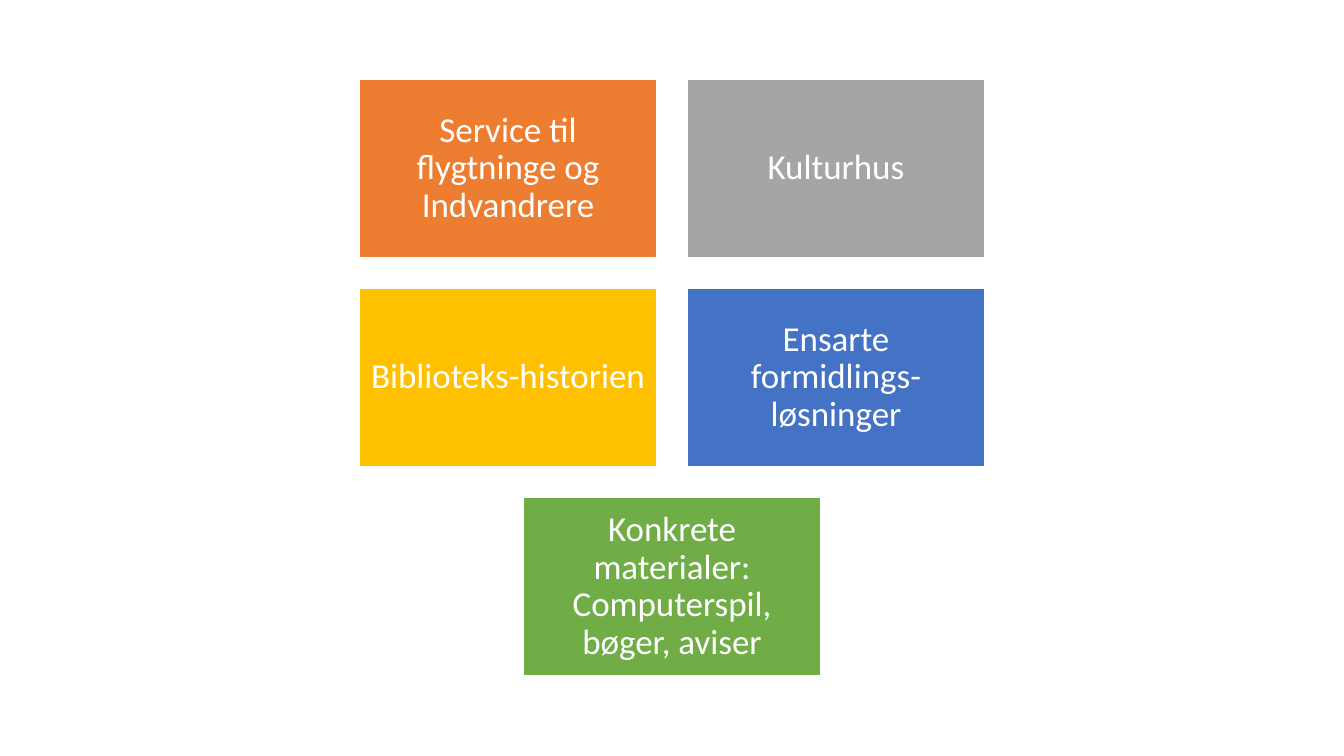
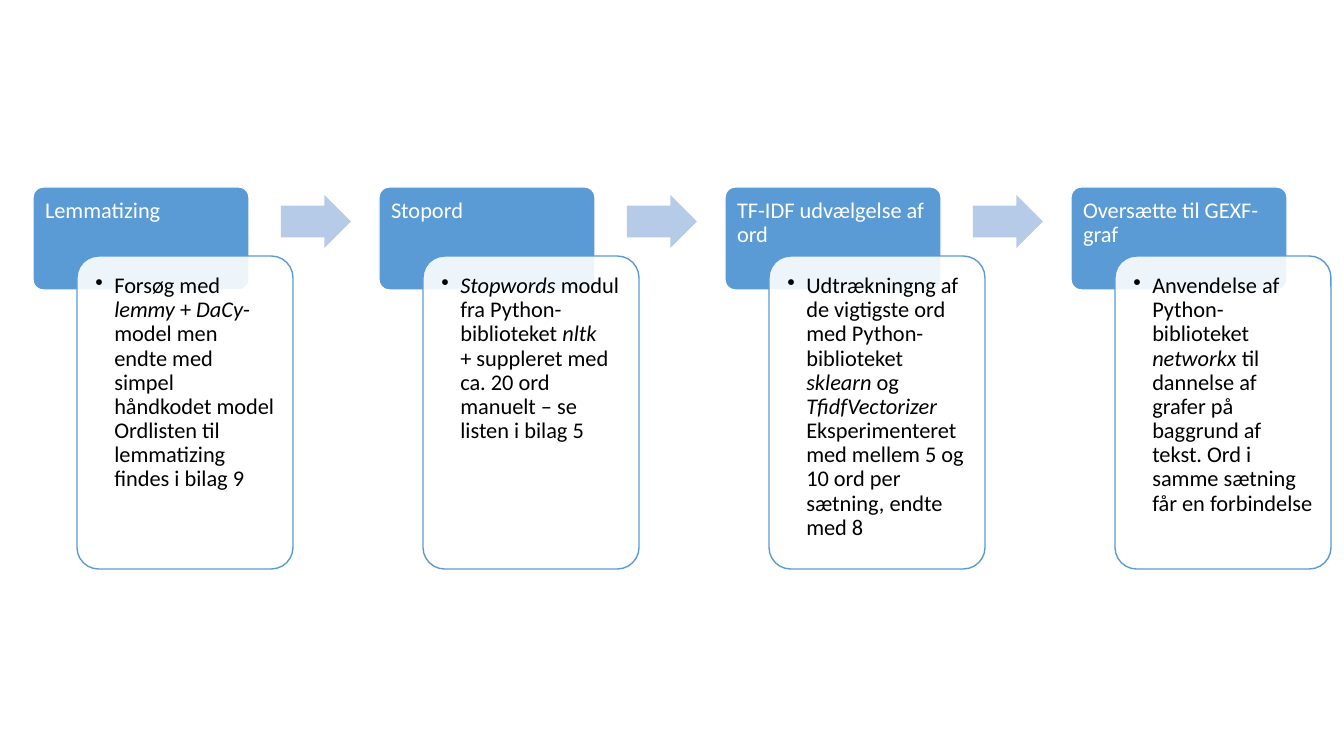
"""Build a tile overview and a four-step text processing flow."""
from lxml.etree import SubElement
from pptx import Presentation
from pptx.dml.color import RGBColor
from pptx.enum.shapes import MSO_SHAPE as Shape
from pptx.enum.text import MSO_ANCHOR as Anchor, PP_ALIGN as Align
from pptx.oxml.ns import qn
from pptx.util import Pt

EMU_PER_PX = 914400 / 100.8
FONT = "Calibri"
WHITE = RGBColor(0xFF, 0xFF, 0xFF)
BLACK = RGBColor(0x00, 0x00, 0x00)
ORANGE = RGBColor(0xED, 0x7D, 0x31)
GRAY = RGBColor(0xA5, 0xA5, 0xA5)
GOLD = RGBColor(0xFF, 0xC0, 0x00)
BLUE = RGBColor(0x44, 0x72, 0xC4)
GREEN = RGBColor(0x70, 0xAD, 0x47)
STEP_BLUE = RGBColor(0x5B, 0x9B, 0xD5)
ARROW_BLUE = RGBColor(0xB5, 0xCB, 0xE7)

TILE_WIDTH, TILE_HEIGHT = 298, 179
TILE_LEFT, TILE_TOP = 359, 79
TILE_STEP_X, TILE_STEP_Y = 328, 209
TILES = [
    ("Service til flygtninge og Indvandrere", ORANGE, 0, 0),
    ("Kulturhus", GRAY, 1, 0),
    ("Biblioteks-historien", GOLD, 0, 1),
    ("Ensarte formidlings-løsninger", BLUE, 1, 1),
    ("Konkrete materialer: Computerspil, bøger, aviser", GREEN, 0.5, 2),
]

STEP_LEFT, STEP_PITCH = 33, 346
STEPS = [
    ("Lemmatizing", [
        ("Forsøg med ", False), ("lemmy", True), (" + ", False), ("DaCy", True),
        ("-model men endte med simpel håndkodet model\n"
         "Ordlisten til lemmatizing findes i bilag 9", False)]),
    ("Stopord", [
        ("Stopwords", True), (" modul fra Python-biblioteket ", False), ("nltk\n", True),
        ("+ suppleret med ca. 20 ord manuelt – se listen i bilag 5", False)]),
    ("TF-IDF udvælgelse af ord", [
        ("Udtrækningng af de vigtigste ord med Python-biblioteket ", False),
        ("sklearn", True), (" og ", False), ("TfidfVectorizer \n", True),
        ("Eksperimenteret med mellem 5 og 10 ord per sætning, endte med 8", False)]),
    ("Oversætte til GEXF-graf", [
        ("Anvendelse af Python-biblioteket ", False), ("networkx", True),
        (" til dannelse af grafer på baggrund af tekst. "
         "Ord i samme sætning får en forbindelse", False)]),
]


def px(length):
    return round(length * EMU_PER_PX)


def add_box(slide, kind, bounds, fill, line=None, adjustments=()):
    shape = slide.shapes.add_shape(kind, *map(px, bounds))
    shape.shadow.inherit = False
    shape.fill.solid()
    shape.fill.fore_color.rgb = fill
    if line is None:
        shape.line.fill.background()
    else:
        shape.line.color.rgb = line
        shape.line.width = Pt(1)
    for index, value in enumerate(adjustments):
        shape.adjustments[index] = value
    return shape


def write_text(shape, segments, size, color, margin, anchor=Anchor.TOP, align=Align.LEFT):
    frame = shape.text_frame
    frame.word_wrap = True
    frame.vertical_anchor = anchor
    frame.margin_left = frame.margin_right = px(margin)
    frame.margin_top = frame.margin_bottom = px(margin)
    paragraph = frame.paragraphs[0]
    paragraph.alignment = align
    paragraph.line_spacing = 0.9
    paragraph.font.name = FONT
    paragraph.font.size = Pt(size)
    paragraph.font.color.rgb = color
    for text, italic in segments:
        for index, part in enumerate(text.split("\n")):
            if index:
                paragraph.add_line_break()
            if part:
                run = paragraph.add_run()
                run.text = part
                if italic:
                    run.font.italic = True
    return paragraph


def add_bullet(paragraph, indent):
    properties = paragraph._p.get_or_add_pPr()
    properties.set("marL", str(px(indent)))
    properties.set("indent", str(-px(indent)))
    bullet = properties.makeelement(qn("a:buChar"), {"char": "•"})
    properties.find(qn("a:defRPr")).addprevious(bullet)


def set_opacity(shape, percent):
    color = shape.fill._xPr.find(qn("a:solidFill"))[0]
    SubElement(color, qn("a:alpha")).set("val", str(percent * 1000))


def add_tile(slide, text, fill, column, row):
    bounds = (TILE_LEFT + column * TILE_STEP_X, TILE_TOP + row * TILE_STEP_Y,
              TILE_WIDTH, TILE_HEIGHT)
    tile = add_box(slide, Shape.RECTANGLE, bounds, fill, WHITE)
    write_text(tile, [(text, False)], 25, WHITE, 10, Anchor.MIDDLE, Align.CENTER)


def add_step(slide, left, heading, segments):
    header = add_box(slide, Shape.ROUNDED_RECTANGLE, (left, 187, 216, 103),
                     STEP_BLUE, WHITE, [0.1])
    write_text(header, [(heading, False)], 16, WHITE, 9)
    card = add_box(slide, Shape.ROUNDED_RECTANGLE, (left + 44, 256, 216, 313),
                   WHITE, STEP_BLUE, [0.1])
    set_opacity(card, 90)
    add_bullet(write_text(card, segments, 16, BLACK, 12), 19)


def main():
    presentation = Presentation()
    presentation.slide_width, presentation.slide_height = px(1344), px(756)
    blank = presentation.slide_layouts[6]

    tile_slide = presentation.slides.add_slide(blank)
    for tile in TILES:
        add_tile(tile_slide, *tile)

    flow_slide = presentation.slides.add_slide(blank)
    for index, (heading, segments) in enumerate(STEPS):
        left = STEP_LEFT + index * STEP_PITCH
        add_step(flow_slide, left, heading, segments)
        if index < len(STEPS) - 1:
            add_box(flow_slide, Shape.RIGHT_ARROW, (left + 248, 195, 70, 53),
                    ARROW_BLUE, adjustments=[0.6, 0.5])

    presentation.save("out.pptx")


if __name__ == "__main__":
    main()
